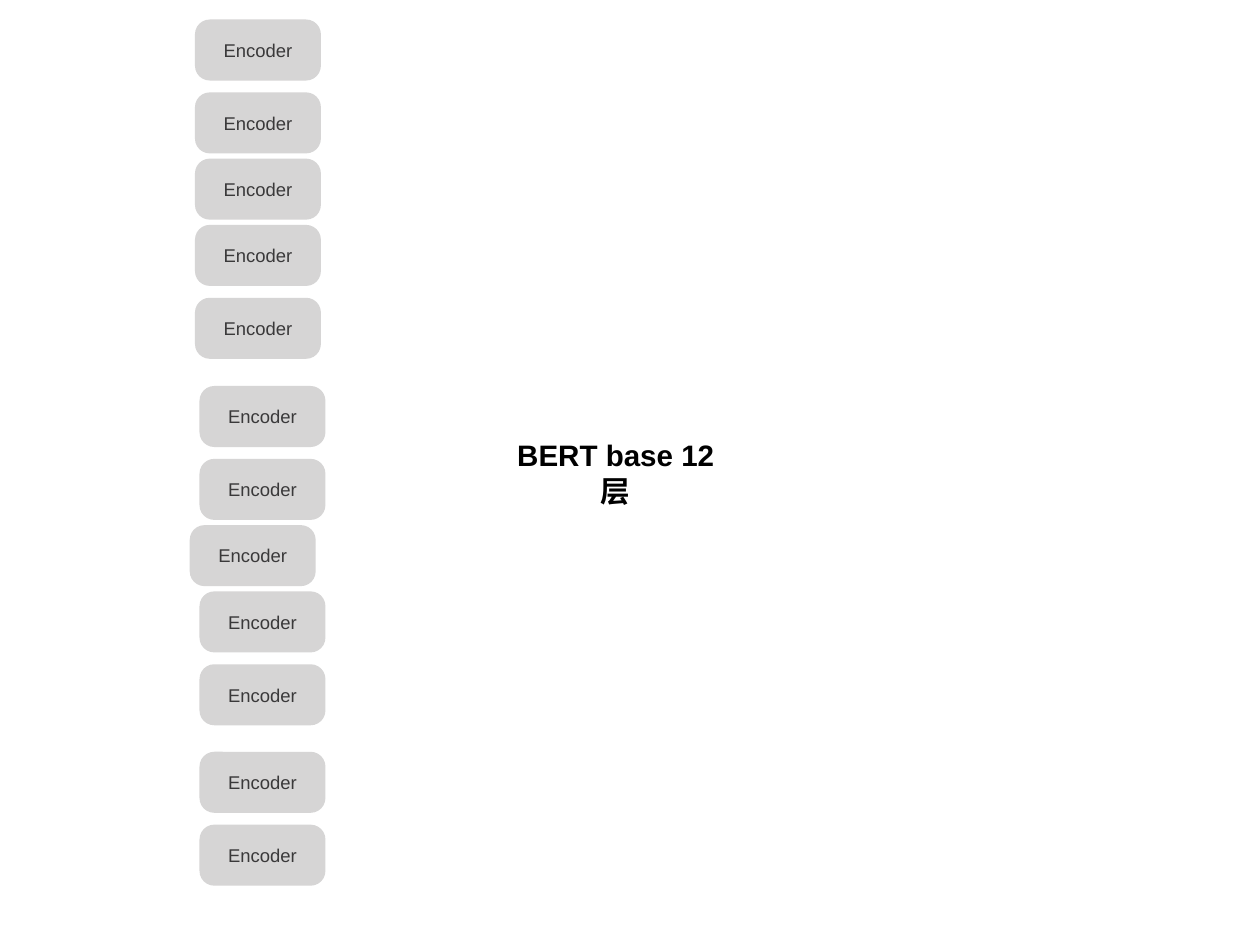
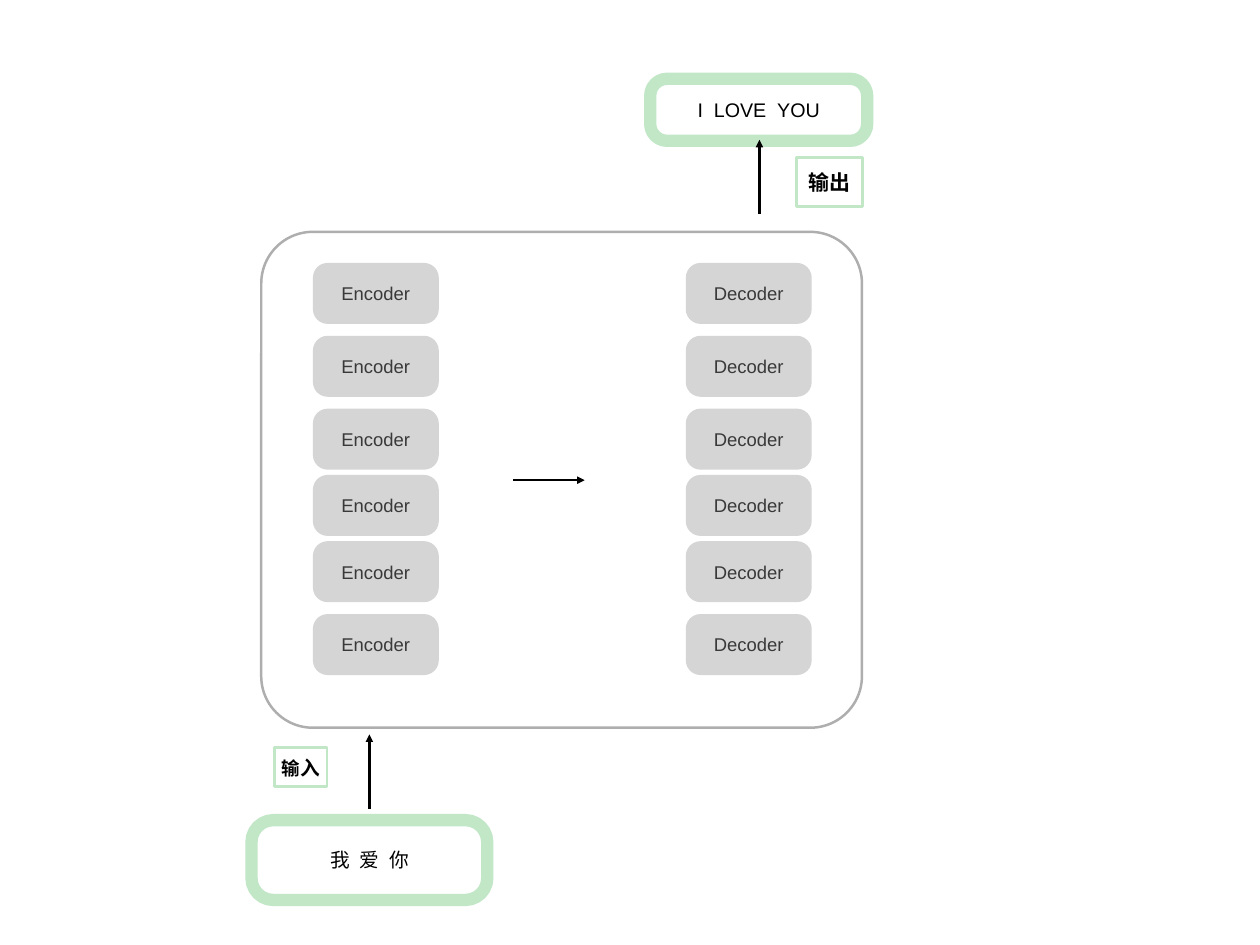
"""Builds two slides on the encoder and decoder stacks of a transformer."""
from dataclasses import dataclass
from itertools import accumulate
from typing import Optional, Union

from lxml.etree import SubElement
from pptx import Presentation
from pptx.dml.color import RGBColor
from pptx.enum.shapes import MSO_CONNECTOR, MSO_SHAPE
from pptx.enum.text import MSO_ANCHOR, MSO_AUTO_SIZE, PP_ALIGN
from pptx.oxml.ns import qn
from pptx.presentation import Presentation as Deck
from pptx.shapes.shapetree import GroupShapes, SlideShapes
from pptx.text.text import TextFrame
from pptx.util import Cm, Pt

COLORS = {
    "block": "D6D5D5",
    "block_text": "3A393A",
    "green": "C2E7C7",
    "frame": "AEAEAE",
    "white": "FFFFFF",
    "black": "000000",
}
FONT = "Arial"
INSET = 0.15
BLOCK_WIDTH, BLOCK_HEIGHT = 3.61, 1.75
WIDE_STEP, NARROW_STEP = 2.09, 1.9
STACK_STEPS = (WIDE_STEP, NARROW_STEP, NARROW_STEP, WIDE_STEP)
TITLE_ONLY, BLANK = 5, 6

Shapes = Union[SlideShapes, GroupShapes]


@dataclass(frozen=True)
class Span:
    text: str
    size: int
    bold: bool = False
    color: str = "black"
    spacing: int = 0


@dataclass(frozen=True)
class Box:
    left: float
    top: float
    width: float
    height: float
    spans: tuple[Span, ...] = ()
    corner: Optional[float] = None
    fill: Optional[str] = None
    line: Optional[str] = None
    line_width: int = 2


@dataclass(frozen=True)
class Arrow:
    start_x: float
    start_y: float
    end_x: float
    end_y: float


WORD_GAP = Span(" ", 16, spacing=445)
SENTENCE = {"corner": 0.273, "fill": "white", "line": "green", "line_width": 10}
SOURCE_BOX = Box(7.21, 23.52, 6.76, 2.29,
                 (Span("我", 16), WORD_GAP, Span("爱", 16), WORD_GAP, Span("你", 16)),
                 **SENTENCE)
TARGET_BOX = Box(18.64, 2.26, 6.22, 1.78,
                 (Span("I", 16), WORD_GAP, Span("LOVE", 16), WORD_GAP, Span("YOU", 16)),
                 **SENTENCE)
INPUT_LABEL = Box(7.87, 21.44, 1.5, 1.12,
                  (Span("输", 15, True), Span("入", 16, True)), line="green")
OUTPUT_LABEL = Box(22.83, 4.52, 1.9, 1.4, (Span("输出", 17, True),), line="green")
MODEL_FRAME = Box(7.49, 6.65, 17.22, 14.22, corner=0.104, fill="white", line="frame")


def rgb(name: str) -> RGBColor:
    return RGBColor.from_string(COLORS[name])


def write_spans(frame: TextFrame, spans: tuple[Span, ...]) -> None:
    frame.word_wrap = True
    frame.auto_size = MSO_AUTO_SIZE.NONE
    frame.vertical_anchor = MSO_ANCHOR.MIDDLE
    frame.margin_left = frame.margin_right = Cm(INSET)
    frame.margin_top = frame.margin_bottom = Cm(INSET)
    para = frame.paragraphs[0]
    para.alignment = PP_ALIGN.CENTER
    for span in spans:
        run = para.add_run()
        run.text = span.text
        run.font.name = FONT
        run.font.size = Pt(span.size)
        run.font.bold = span.bold
        run.font.color.rgb = rgb(span.color)
        if span.spacing:
            run.font._element.set("spc", str(span.spacing))


def draw_box(shapes: Shapes, box: Box) -> None:
    kind = MSO_SHAPE.RECTANGLE if box.corner is None else MSO_SHAPE.ROUNDED_RECTANGLE
    shape = shapes.add_shape(kind, Cm(box.left), Cm(box.top), Cm(box.width), Cm(box.height))
    shape.shadow.inherit = False
    if box.corner is not None:
        shape.adjustments[0] = box.corner
    if box.fill:
        shape.fill.solid()
        shape.fill.fore_color.rgb = rgb(box.fill)
    else:
        shape.fill.background()
    if box.line:
        shape.line.color.rgb = rgb(box.line)
        shape.line.width = Pt(box.line_width)
    else:
        shape.line.fill.background()
    if box.spans:
        write_spans(shape.text_frame, box.spans)


def draw_arrow(shapes: Shapes, arrow: Arrow) -> None:
    connector = shapes.add_connector(
        MSO_CONNECTOR.STRAIGHT,
        Cm(arrow.start_x), Cm(arrow.start_y), Cm(arrow.end_x), Cm(arrow.end_y))
    connector.line.color.rgb = rgb("black")
    connector.line.width = Pt(2)
    SubElement(connector.line._get_or_add_ln(), qn("a:tailEnd"), type="triangle")
    SubElement(connector._element.spPr, qn("a:effectLst"))


def draw_block(shapes: Shapes, label: str, left: float, top: float) -> None:
    span = Span(label, 15, color="block_text")
    draw_box(shapes, Box(left, top, BLOCK_WIDTH, BLOCK_HEIGHT, (span,), 0.242, "block"))


def stack_tops(first: float, steps: tuple[float, ...]) -> list[float]:
    return list(accumulate(steps, initial=first))


def add_bert_slide(deck: Deck) -> None:
    page = deck.slides.add_slide(deck.slide_layouts[TITLE_ONLY])
    title = page.shapes.title
    title.left, title.top, title.width, title.height = Cm(14.68), Cm(12.83), Cm(6.78), Cm(1.45)
    write_spans(title.text_frame, (Span("BERT base 12层", 24, True),))
    title.text_frame.margin_left, title.text_frame.margin_right = Cm(0.1), Cm(0.94)

    upper, middle, lower = 5.59, 5.72, 5.72
    outlier = 5.44
    stacks = (
        ((upper,) * 5, stack_tops(0.56, STACK_STEPS)),
        ((middle, middle, outlier, middle, middle), stack_tops(11.07, STACK_STEPS)),
        ((lower,) * 2, stack_tops(21.56, STACK_STEPS[:1])),
    )
    for lefts, tops in stacks:
        for left, top in zip(lefts, tops):
            draw_block(page.shapes, "Encoder", left, top)


def add_translation_slide(deck: Deck) -> None:
    page = deck.slides.add_slide(deck.slide_layouts[BLANK])
    for box in (SOURCE_BOX, INPUT_LABEL, TARGET_BOX, OUTPUT_LABEL):
        draw_box(page.shapes, box)
    draw_arrow(page.shapes, Arrow(21.77, 6.15, 21.77, 4.01))

    model = page.shapes.add_group_shape().shapes
    draw_box(model, MODEL_FRAME)
    for label, left in (("Encoder", 8.97), ("Decoder", 19.66)):
        for top in stack_tops(7.54, (WIDE_STEP, *STACK_STEPS)):
            draw_block(model, label, left, top)
    draw_arrow(model, Arrow(14.71, 13.77, 16.76, 13.77))
    draw_arrow(page.shapes, Arrow(10.59, 23.19, 10.59, 21.06))


def main() -> None:
    deck = Presentation()
    deck.slide_width, deck.slide_height = Cm(36.12), Cm(27.1)
    add_bert_slide(deck)
    add_translation_slide(deck)
    deck.save("out.pptx")


if __name__ == "__main__":
    main()
